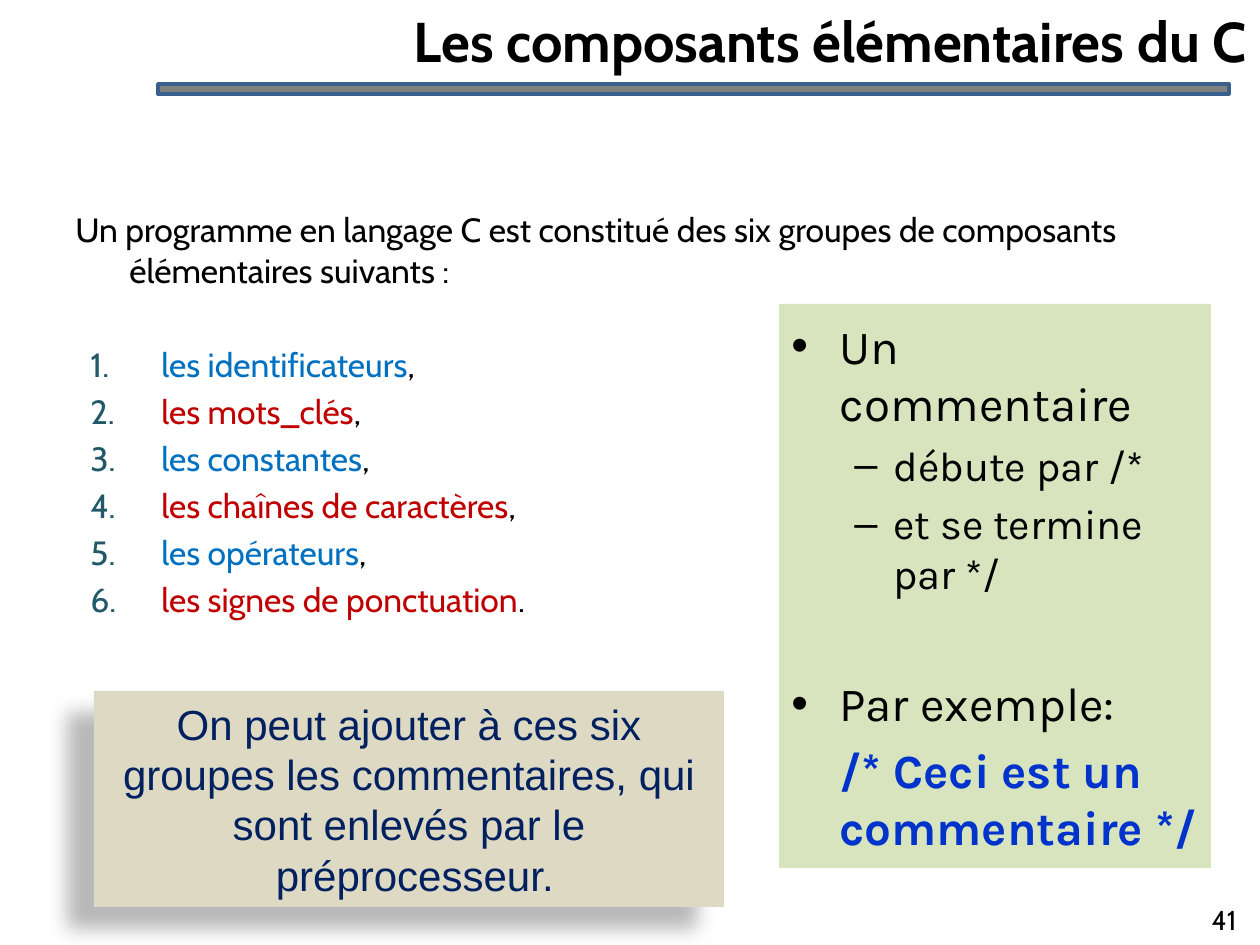
from lxml.etree import SubElement
from pptx import Presentation
from pptx.dml.color import RGBColor
from pptx.enum.shapes import MSO_SHAPE
from pptx.enum.text import MSO_ANCHOR, MSO_AUTO_SIZE, PP_ALIGN
from pptx.oxml.ns import qn
from pptx.util import Emu, Pt

PX = 914400 / 126


def box(sp, rect, fill=None, line=None, **fmt):
    for name, v in zip(("left", "top", "width", "height"), rect):
        setattr(sp, name, Emu(round(v * PX)))
    if fill:
        sp.shadow.inherit = False
        sp.fill.solid()
        sp.fill.fore_color.rgb = RGBColor.from_string(fill)
        if line:
            sp.line.color.rgb = RGBColor.from_string(line)
            sp.line.width = Pt(2)
        else:
            sp.line.fill.background()
    tf = sp.text_frame
    fmt = {"word_wrap": True, "auto_size": MSO_AUTO_SIZE.NONE,
           "vertical_anchor": MSO_ANCHOR.TOP, **fmt}
    for name, v in fmt.items():
        setattr(tf, name, v)
    return tf


def para(tf, runs, font, size, before=0, align=PP_ALIGN.LEFT, level=0,
         left=0, hang=0, bullet=None, bold=False):
    p = tf.paragraphs[0]
    if p.runs:
        p = tf.add_paragraph()
    pPr = p._p.get_or_add_pPr()
    pPr.set("marL", str(round(left * PX)))
    pPr.set("indent", str(round(-hang * PX)))
    if bullet == "1.":
        clr = SubElement(pPr, qn("a:buClr"))
        SubElement(clr, qn("a:srgbClr"), val="215968")
        SubElement(pPr, qn("a:buFont"), typeface=font)
        SubElement(pPr, qn("a:buAutoNum"), type="arabicPeriod")
    elif bullet:
        SubElement(pPr, qn("a:buFont"), typeface="Arial")
        SubElement(pPr, qn("a:buChar"), char=bullet)
    else:
        SubElement(pPr, qn("a:buNone"))
    for name, v in {"alignment": align, "level": level, "line_spacing": 1.0,
                    "space_before": Pt(before), "space_after": Pt(0)}.items():
        setattr(p, name, v)
    for text, color in runs:
        r = p.add_run()
        r.text = text
        for name, v in {"name": font, "size": Pt(size), "bold": bold}.items():
            setattr(r.font, name, v)
        r.font.color.rgb = RGBColor.from_string(color)


prs = Presentation()
prs.slide_width = Emu(round(1260 * PX))
prs.slide_height = Emu(round(945 * PX))
s = prs.slides.add_slide(prs.slide_layouts[5])
shapes = s.shapes

tf = box(shapes.title, (154, 0, 1106, 158))
para(tf, [("Les composants élémentaires du C", "000000")], "Cabin", 32,
     align=PP_ALIGN.RIGHT, bold=True)

box(shapes.add_shape(MSO_SHAPE.RECTANGLE, 0, 0, 0, 0), (158, 84, 1071, 10),
    "808080", "3A5F8C")

tf = box(shapes.add_textbox(0, 0, 0, 0), (63, 203, 1134, 549))
para(tf, [("Un programme en langage C est constitué des six groupes de composants "
           "élémentaires suivants :", "000000")], "Cabin", 19.2, left=54, hang=54)
items = ["les identificateurs", "les mots_clés", "les constantes",
         "les chaînes de caractères", "les opérateurs", "les signes de ponctuation"]
for i, item in enumerate(items):
    color = "C00000" if i % 2 else "0070C0"
    end = "." if item == items[-1] else ","
    para(tf, [(item, color), (end, "000000")], "Cabin", 19.2,
         before=3.8 if i else 31, left=86, hang=71, bullet="1.")

tf = box(shapes.add_textbox(0, 0, 0, 0), (1188, 895, 72, 50),
         vertical_anchor=MSO_ANCHOR.MIDDLE)
para(tf, [("41", "000000")], "Cabin", 15.6, align=PP_ALIGN.CENTER)

sp = shapes.add_shape(MSO_SHAPE.RECTANGLE, 0, 0, 0, 0)
tf = box(sp, (94, 691, 630, 216), "DDD9C3", vertical_anchor=MSO_ANCHOR.MIDDLE)
effects = sp._element.spPr.find(qn("a:effectLst"))
shadow = SubElement(effects, qn("a:outerShdw"), blurRad=str(Pt(11.8)),
                    dist=str(Pt(19.7)), dir=str(141 * 60000), rotWithShape="0")
clr = SubElement(shadow, qn("a:srgbClr"), val="000000")
SubElement(clr, qn("a:alpha"), val="28000")
for text in ("On peut ajouter à ces six groupes les commentaires, qui sont enlevés par le",
             " préprocesseur."):
    para(tf, [(text, "002060")], "Arial", 24, align=PP_ALIGN.CENTER)

tf = box(shapes.add_shape(MSO_SHAPE.RECTANGLE, 0, 0, 0, 0), (779, 304, 432, 564),
         "D7E4BD", vertical_anchor=MSO_ANCHOR.MIDDLE)
top = {"font": "Karla", "size": 27.2, "left": 48}
sub = {"font": "Karla", "size": 23.8, "left": 102, "hang": 39, "level": 1,
       "bullet": "–", "before": 4.8}
para(tf, [("Un commentaire", "000000")], hang=48, bullet="•", **top)
para(tf, [("débute par /* ", "000000")], **sub)
para(tf, [("et se termine par */", "000000")], **sub)
para(tf, [("Par exemple:", "000000")], hang=48, bullet="•", before=43.5, **top)
para(tf, [("/* Ceci est un commentaire */", "0033CC")], before=5.4, bold=True, **top)

prs.save("out.pptx")
